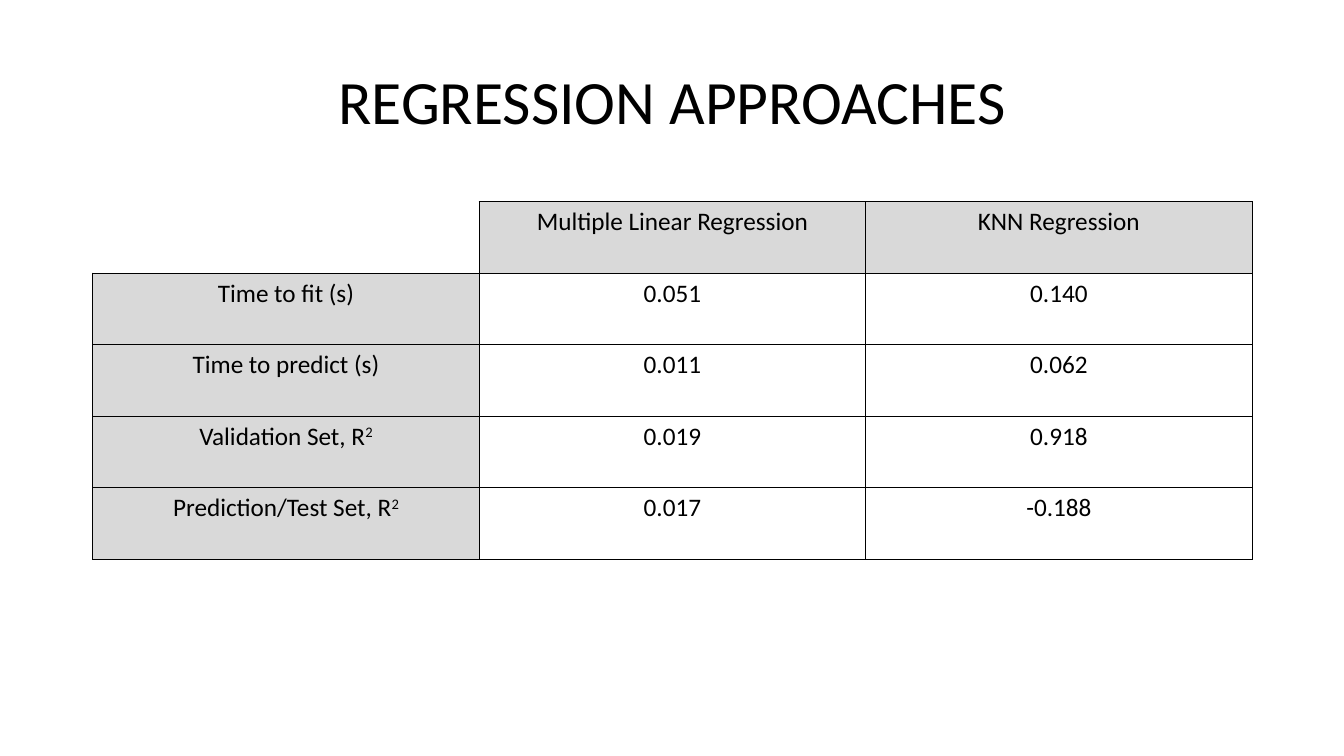
import pptx
import pptx.util
import pptx.dml.color
import pptx.enum.text
import pptx.oxml
import pptx.oxml.ns

Inches = pptx.util.Inches
CENTER = pptx.enum.text.PP_ALIGN.CENTER
BLACK = "000000"
HEADING_GREY = "D9D9D9"


def color(hex_code):
    return pptx.dml.color.RGBColor.from_string(hex_code)


def format_paragraph(paragraph, size):
    paragraph.alignment = CENTER
    for run in paragraph.runs:
        run.font.name = "Calibri"
        run.font.size = pptx.util.Pt(size)
        run.font.bold = False
        run.font.color.rgb = color(BLACK)


presentation = pptx.Presentation()
presentation.slide_width = Inches(13.33)
presentation.slide_height = Inches(7.5)
slide = presentation.slides.add_slide(presentation.slide_layouts[5])

title = slide.shapes.title
title.left, title.top = Inches(0.92), Inches(0.31)
title.width, title.height = Inches(11.5), Inches(1.45)
title.text_frame.text = "REGRESSION APPROACHES"
title.text_frame.vertical_anchor = pptx.enum.text.MSO_ANCHOR.MIDDLE
title.text_frame.paragraphs[0].line_spacing = 0.9
format_paragraph(title.text_frame.paragraphs[0], 44)

results = [
    ["", "Multiple Linear Regression", "KNN Regression"],
    ["Time to fit (s)", "0.051", "0.140"],
    ["Time to predict (s)", "0.011", "0.062"],
    ["Validation Set, R^2", "0.019", "0.918"],
    ["Prediction/Test Set, R^2", "0.017", "-0.188"],
]

comparison = slide.shapes.add_table(
    len(results), len(results[0]), Inches(0.92), Inches(2), Inches(11.5), Inches(3.55)
).table
comparison.first_row = False
comparison.horz_banding = False

for row_index, row in enumerate(results):
    for column_index, entry in enumerate(row):
        cell = comparison.cell(row_index, column_index)
        is_corner = row_index == 0 and column_index == 0
        is_heading = row_index == 0 or column_index == 0

        base, _, exponent = entry.partition("^")
        paragraph = cell.text_frame.paragraphs[0]
        paragraph.text = base
        if exponent:
            superscript = paragraph.add_run()
            superscript.text = exponent
            superscript._r.get_or_add_rPr().set("baseline", "30000")
        format_paragraph(paragraph, 18)

        cell_properties = cell._tc.get_or_add_tcPr()
        for side in ("L", "R", "T", "B"):
            if is_corner and side in ("L", "T"):
                stroke = "<a:noFill/>"
            else:
                stroke = f'<a:solidFill><a:srgbClr val="{BLACK}"/></a:solidFill>'
            cell_properties.append(pptx.oxml.parse_xml(
                f'<a:ln{side} {pptx.oxml.ns.nsdecls("a")} w="12700">{stroke}</a:ln{side}>'
            ))

        if is_heading and not is_corner:
            cell.fill.solid()
            cell.fill.fore_color.rgb = color(HEADING_GREY)
        else:
            cell.fill.background()

presentation.save("out.pptx")
